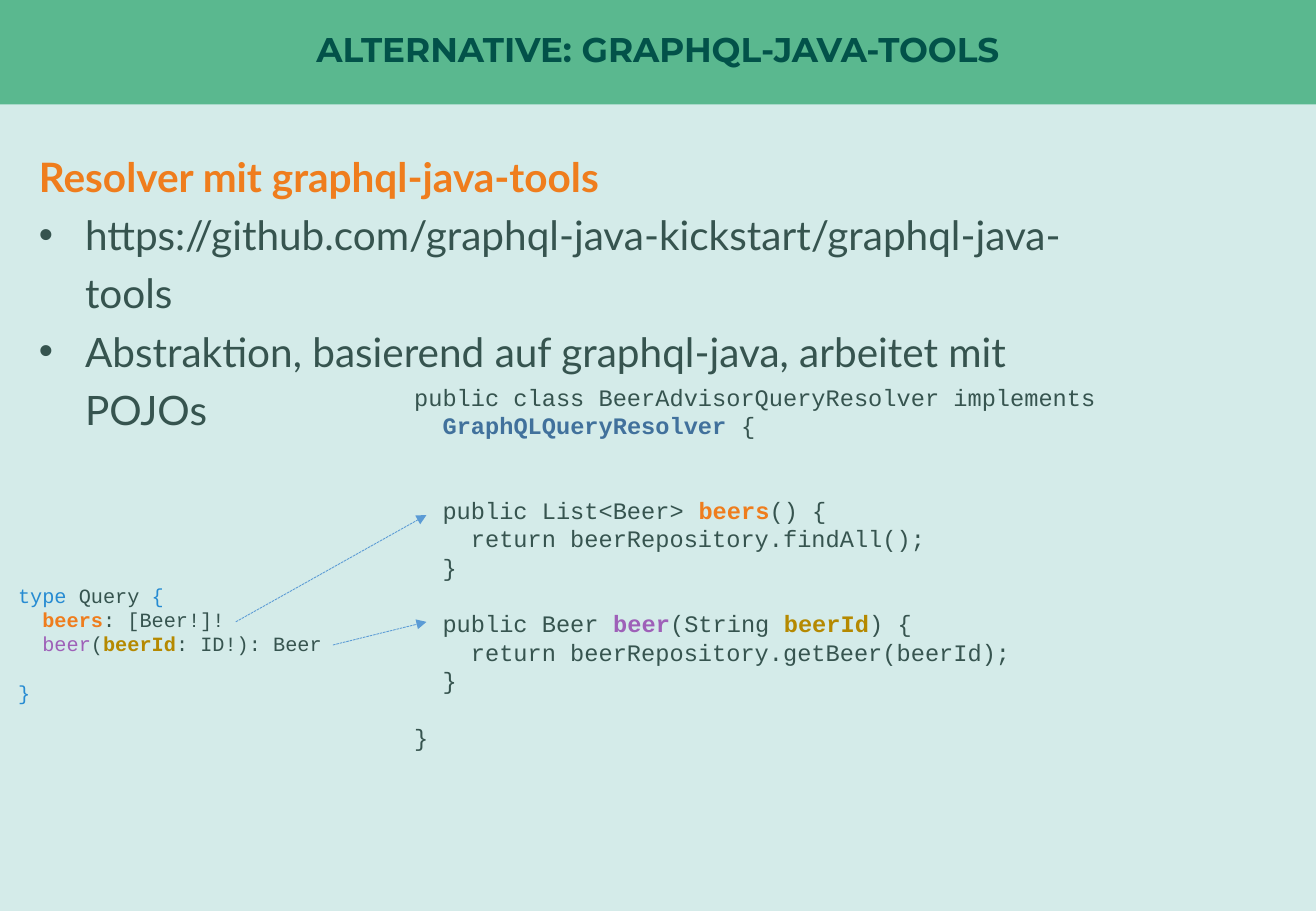
"""Build the slide about resolvers with graphql-java-tools."""
from dataclasses import dataclass

from lxml.etree import SubElement
from pptx import Presentation
from pptx.dml.color import RGBColor
from pptx.enum.dml import MSO_LINE
from pptx.enum.shapes import MSO_CONNECTOR, MSO_SHAPE
from pptx.enum.text import MSO_ANCHOR, MSO_AUTO_SIZE, PP_ALIGN
from pptx.oxml.ns import qn
from pptx.util import Inches, Pt


@dataclass(frozen=True)
class Theme:
    background: str = "D4EBE9"
    band: str = "5AB88F"
    heading: str = "025249"
    text: str = "36544F"
    orange: str = "EF7D1D"
    keyword: str = "268BD2"
    interface: str = "41719C"
    purple: str = "9E60B8"
    gold: str = "B58900"
    arrow: str = "5B9BD5"
    title_font: str = "Montserrat"
    body_font: str = "Lato"
    code_font: str = "Courier New"
    title_size: float = 20.3
    body_size: float = 24
    resolver_size: float = 14
    schema_size: float = 12
    code_leading: float = 1.2


THEME = Theme()


@dataclass(frozen=True)
class Span:
    text: str
    color: str = THEME.text
    bold: bool = False


@dataclass(frozen=True)
class Line:
    spans: tuple[Span, ...]
    gap_lines: int = 0
    bullet: bool = False


@dataclass(frozen=True)
class CodeBlock:
    left: float
    top: float
    width: float
    height: float
    size: float
    lines: tuple[Line, ...]


@dataclass(frozen=True)
class Arrow:
    start: tuple[float, float]
    end: tuple[float, float]


def code(*spans: Span | str, gap: int = 0) -> Line:
    return Line(tuple(Span(s) if isinstance(s, str) else s for s in spans), gap)


BEERS = Span("beers", THEME.orange, True)
BEER_ID = Span("beerId", THEME.gold, True)

TITLE = (Line((Span("ALTERNATIVE: GRAPHQL-JAVA-TOOLS", THEME.heading, True),)),)
BODY = (
    Line((Span("Resolver mit graphql-java-tools", THEME.orange, True),)),
    Line((Span("https://github.com/graphql-java-kickstart/graphql-java-tools"),), bullet=True),
    Line((Span("Abstraktion, basierend auf graphql-java, arbeitet mit POJOs"),), bullet=True),
)
SCHEMA = CodeBlock(0.05, 4.75, 2.89, 1.11, THEME.schema_size, (
    code(Span("type ", THEME.keyword), "Query ", Span("{", THEME.keyword)),
    code("  ", BEERS, ": [Beer!]!"),
    code("  ", Span("beer", THEME.purple), "(", BEER_ID, ": ID!): Beer"),
    code(Span("}", THEME.keyword), gap=1),
))
RESOLVER = CodeBlock(3.31, 3.1, 7.32, 3.17, THEME.resolver_size, (
    code("public class BeerAdvisorQueryResolver implements"),
    code("  ", Span("GraphQLQueryResolver", THEME.interface, True), " {"),
    code("  public List<Beer> ", BEERS, "() {", gap=2),
    code("    return beerRepository.findAll();"),
    code("  }"),
    code("  public Beer ", Span("beer", THEME.purple, True), "(String ", BEER_ID, ") {", gap=1),
    code("    return beerRepository.getBeer(beerId);"),
    code("  }"),
    code("}", gap=1),
))
ARROWS = (Arrow((1.94, 5.12), (3.51, 4.24)), Arrow((2.74, 5.31), (3.51, 5.12)))


def place(shape, left: float, top: float, width: float, height: float) -> None:
    shape.left, shape.top = Inches(left), Inches(top)
    shape.width, shape.height = Inches(width), Inches(height)


def write(frame, lines: tuple[Line, ...], *, font: str, size: float,
          align=PP_ALIGN.LEFT, spacing: float = 1.0) -> None:
    frame.word_wrap = True
    for index, line in enumerate(lines):
        paragraph = frame.paragraphs[0] if index == 0 else frame.add_paragraph()
        paragraph.alignment = align
        paragraph.line_spacing = spacing
        paragraph.space_before = Pt(line.gap_lines * size * THEME.code_leading)
        paragraph.space_after = Pt(0)
        set_bullet(paragraph, line.bullet)
        for span in line.spans:
            run = paragraph.add_run()
            run.text = span.text
            run.font.name = font
            run.font.size = Pt(size)
            run.font.bold = span.bold
            run.font.color.rgb = RGBColor.from_string(span.color)


def set_bullet(paragraph, shown: bool) -> None:
    properties = paragraph._p.get_or_add_pPr()
    hang = Inches(0.38) if shown else 0
    properties.set("marL", str(hang))
    properties.set("indent", str(-hang))
    if shown:
        SubElement(properties, qn("a:buFont"), typeface="Arial")
        SubElement(properties, qn("a:buChar"), char="•")
    else:
        SubElement(properties, qn("a:buNone"))


def add_title(slide) -> None:
    title = slide.shapes.title
    place(title, 0, 0, 10.83, 0.85)
    frame = title.text_frame
    frame.margin_left = frame.margin_right = frame.margin_top = frame.margin_bottom = 0
    frame.vertical_anchor = MSO_ANCHOR.MIDDLE
    frame.auto_size = MSO_AUTO_SIZE.NONE
    write(frame, TITLE, font=THEME.title_font, size=THEME.title_size,
          align=PP_ALIGN.CENTER, spacing=0.9)
    band = slide.shapes.add_shape(MSO_SHAPE.RECTANGLE, 0, 0, Inches(10.83), Inches(0.86))
    band.shadow.inherit = False
    band.fill.solid()
    band.fill.fore_color.rgb = RGBColor.from_string(THEME.band)
    band.line.fill.background()
    title._element.addprevious(band._element)


def add_body(slide) -> None:
    body = slide.placeholders[1]
    place(body, 0.22, 1.12, 9.19, 1.52)
    body.text_frame.vertical_anchor = MSO_ANCHOR.TOP
    body.text_frame.auto_size = MSO_AUTO_SIZE.SHAPE_TO_FIT_TEXT
    write(body.text_frame, BODY, font=THEME.body_font, size=THEME.body_size, spacing=1.2)


def add_code(slide, block: CodeBlock) -> None:
    listing = slide.shapes.add_textbox(Inches(block.left), Inches(block.top),
                                       Inches(block.width), Inches(block.height))
    listing.text_frame.auto_size = MSO_AUTO_SIZE.SHAPE_TO_FIT_TEXT
    write(listing.text_frame, block.lines, font=THEME.code_font, size=block.size)


def add_arrow(slide, arrow: Arrow) -> None:
    ends = [Inches(value) for value in (*arrow.start, *arrow.end)]
    connector = slide.shapes.add_connector(MSO_CONNECTOR.STRAIGHT, *ends)
    connector.line.color.rgb = RGBColor.from_string(THEME.arrow)
    connector.line.width = Pt(0.5)
    connector.line.dash_style = MSO_LINE.SQUARE_DOT
    properties = connector._element.spPr
    SubElement(properties.find(qn("a:ln")), qn("a:tailEnd"), type="triangle")
    SubElement(properties, qn("a:effectLst"))


def main() -> None:
    deck = Presentation()
    deck.slide_width, deck.slide_height = Inches(10.83), Inches(7.5)
    slide = deck.slides.add_slide(deck.slide_layouts[1])
    slide.background.fill.solid()
    slide.background.fill.fore_color.rgb = RGBColor.from_string(THEME.background)
    add_title(slide)
    add_body(slide)
    for block in (SCHEMA, RESOLVER):
        add_code(slide, block)
    for arrow in ARROWS:
        add_arrow(slide, arrow)
    deck.save("out.pptx")


if __name__ == "__main__":
    main()
